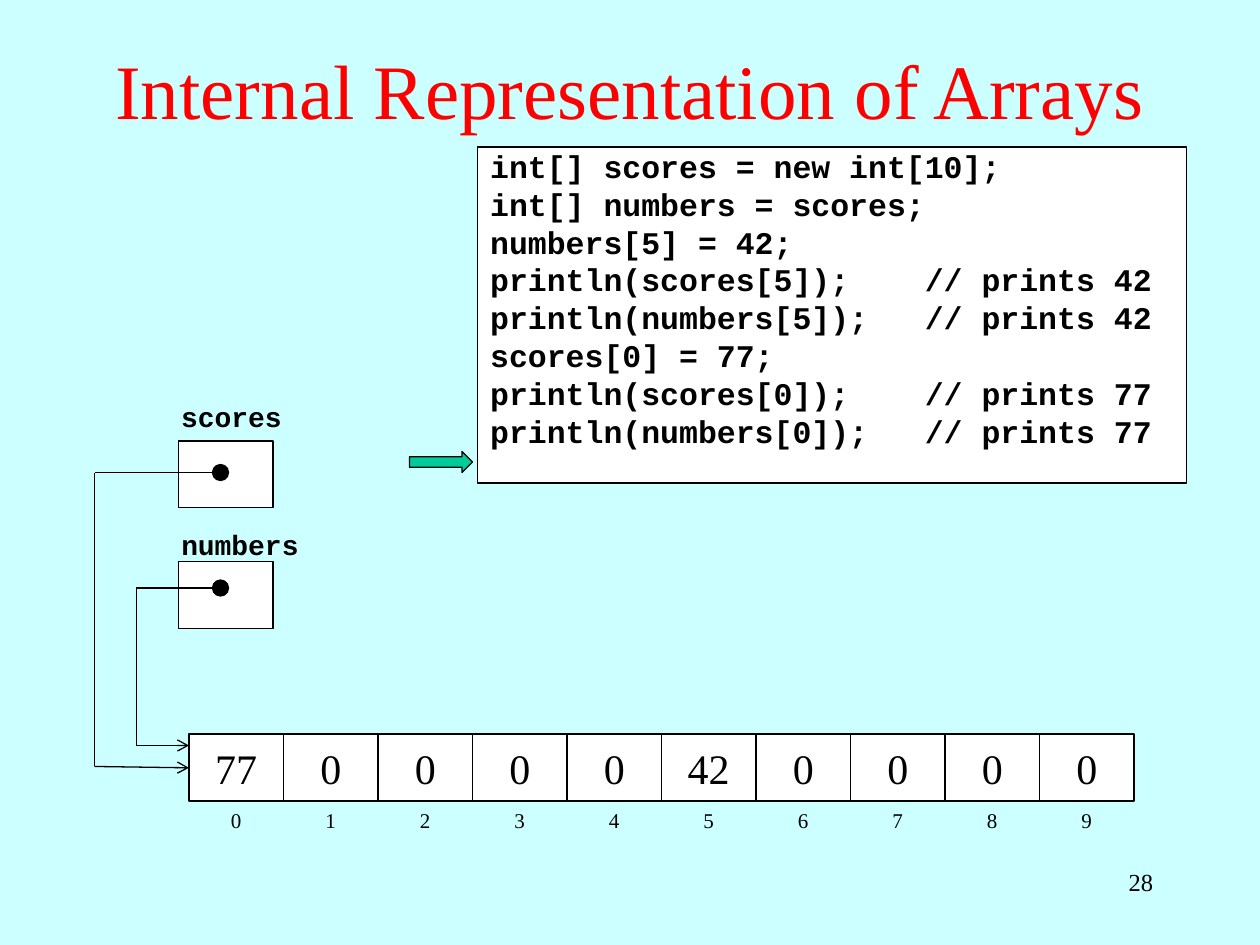
from lxml.etree import SubElement
from pptx import Presentation
from pptx.dml.color import RGBColor
from pptx.enum.shapes import MSO_CONNECTOR as Connector, MSO_SHAPE as Shape
from pptx.enum.text import MSO_ANCHOR as Anchor, PP_ALIGN as Align
from pptx.oxml.ns import qn
from pptx.util import Pt

COLORS = {"background": "CCFFFF", "title": "FF0000", "ink": "000000",
          "box": "FFFFFF", "pointer": "00CC99"}
SERIF, MONO = "Times New Roman", "Courier New"
CELL_WIDTH, CELL_HEIGHT = 54, 38.2
VALUES = [77, 0, 0, 0, 0, 42, 0, 0, 0, 0]
CODE = """int[] scores = new int[10];
int[] numbers = scores;
numbers[5] = 42;
println(scores[5]);    // prints 42
println(numbers[5]);   // prints 42
scores[0] = 77;
println(scores[0]);    // prints 77
println(numbers[0]);   // prints 77"""


def color(name):
    return RGBColor.from_string(COLORS[name])


def write(shape, text, size, font=SERIF, ink="ink", bold=False, align=Align.LEFT,
          anchor=Anchor.TOP, wrap=True, spacing=None, top=3.6):
    frame = shape.text_frame
    frame.word_wrap = wrap
    frame.vertical_anchor = anchor
    frame.margin_left = frame.margin_right = Pt(7.2)
    frame.margin_top, frame.margin_bottom = Pt(top), Pt(3.6)
    frame.text = text
    for paragraph in frame.paragraphs:
        paragraph.alignment = align
        paragraph.line_spacing = spacing
        paragraph.font.name, paragraph.font.size = font, Pt(size)
        paragraph.font.bold = bold
        paragraph.font.color.rgb = color(ink)


def add_text(shapes, left, top, width, height, text, **style):
    box = shapes.add_textbox(Pt(left), Pt(top), Pt(width), Pt(height))
    write(box, text, **style)


def add_box(shapes, left, top, width, height, kind=Shape.RECTANGLE, fill="box"):
    shape = shapes.add_shape(kind, Pt(left), Pt(top), Pt(width), Pt(height))
    shape.shadow.inherit = False
    shape.fill.solid()
    shape.fill.fore_color.rgb = color(fill)
    shape.line.color.rgb = color("ink")
    shape.line.width = Pt(0.75)
    return shape


def add_line(shapes, start, end, head=None, tail=None):
    line = shapes.add_connector(Connector.STRAIGHT, *map(Pt, start + end))
    line.line.color.rgb = color("ink")
    line.line.width = Pt(0.75)
    properties = line.line._get_or_add_ln()
    if head:
        SubElement(properties, qn("a:headEnd"), type=head, w="lg", len="lg")
    if tail:
        SubElement(properties, qn("a:tailEnd"), type=tail)
    SubElement(line._element.spPr, qn("a:effectLst"))


def add_title(slide, left, top, width, height, text):
    title = slide.shapes.title
    title.left, title.top, title.width, title.height = map(Pt, (left, top, width, height))
    write(title, text, size=44, ink="title", align=Align.CENTER, anchor=Anchor.MIDDLE)


def add_array(shapes, left, top, values):
    """Row of value cells with the index under each one."""
    group = shapes.add_group_shape().shapes
    for index, value in enumerate(values):
        x = left + index * CELL_WIDTH
        cell = add_box(group, x, top, CELL_WIDTH, CELL_HEIGHT)
        write(cell, str(value), size=24, align=Align.CENTER, anchor=Anchor.MIDDLE, wrap=False)
        add_text(group, x + 6, top + CELL_HEIGHT, 42, 21.6, str(index),
                 size=12, align=Align.CENTER)


def add_reference(shapes, left, top, name, label_top, dot_y, bend_x, bend_y, target):
    """Variable box whose pointer runs around to the array."""
    add_box(shapes, left, top, CELL_WIDTH, CELL_HEIGHT)
    label_width = 9.6 * len(name) + 16
    add_text(shapes, left - 5.5, label_top, label_width, 24.5, name, size=16, font=MONO,
             bold=True, spacing=0.9)
    upper, lower = (bend_x, dot_y), (bend_x, bend_y)
    add_line(shapes, (left + 24, dot_y), upper, head="oval")
    add_line(shapes, upper, lower)
    add_line(shapes, lower, target, tail="arrow")


def add_code(shapes, left, top, width, height, code):
    """Code box with an arrow marking the current step."""
    box = add_box(shapes, left, top, width, height)
    write(box, code, size=18, font=MONO, bold=True, wrap=False, spacing=Pt(21.6), top=0)
    add_box(shapes, left - 39, top + 174, 36, 12, Shape.RIGHT_ARROW, "pointer")


def main():
    presentation = Presentation()
    presentation.slide_width, presentation.slide_height = Pt(720), Pt(540)
    slide = presentation.slides.add_slide(presentation.slide_layouts[5])
    slide.background.fill.solid()
    slide.background.fill.fore_color.rgb = color("background")
    shapes = slide.shapes

    add_title(slide, 0, 5.5, 720, 90, "Internal Representation of Arrays")
    add_array(shapes, 108, 419.5, VALUES)
    add_reference(shapes, 102, 252, "scores", label_top=227, dot_y=270,
                  bend_x=54, bend_y=438, target=(108, 438.75))
    add_reference(shapes, 102, 321, "numbers", label_top=300, dot_y=336,
                  bend_x=78, bend_y=426, target=(108, 426))
    add_code(shapes, 273, 84, 405, 192, CODE)
    add_text(shapes, 516, 492, 150, 36, "28", size=14, align=Align.RIGHT)
    presentation.save("out.pptx")


if __name__ == "__main__":
    main()
